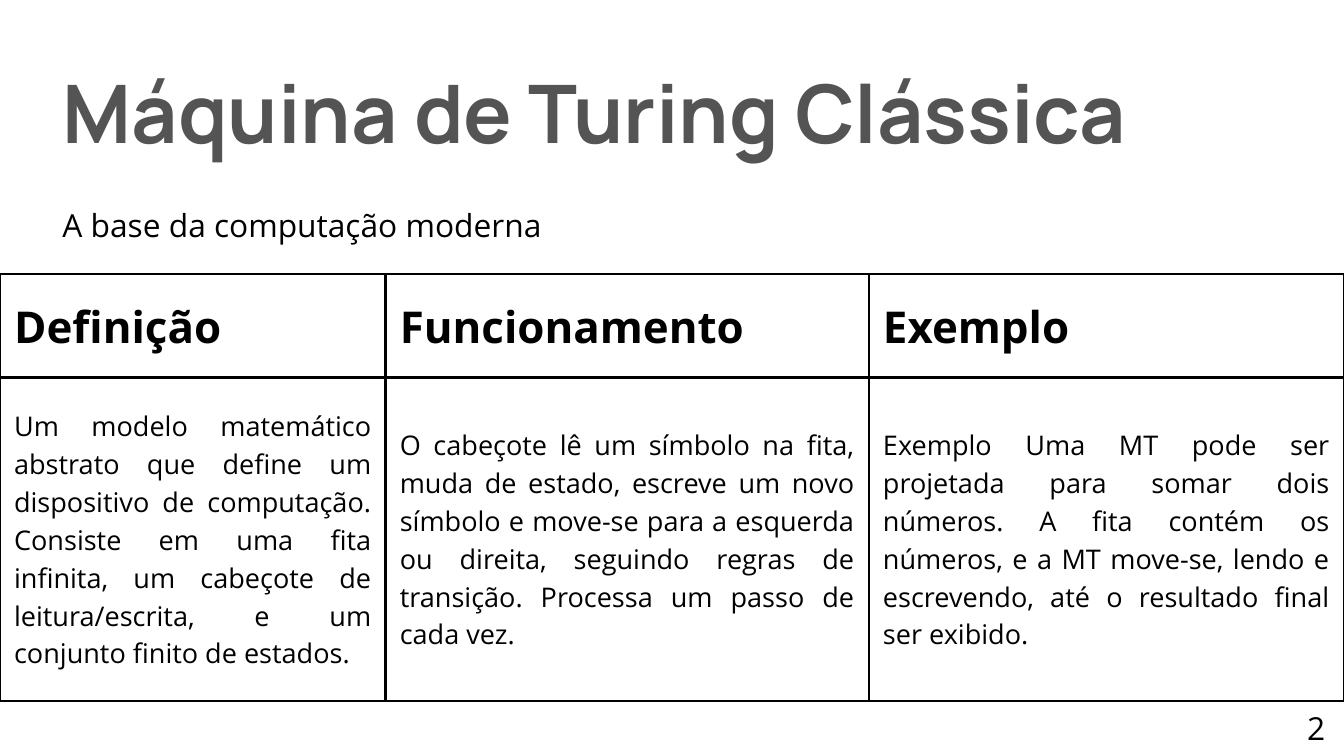
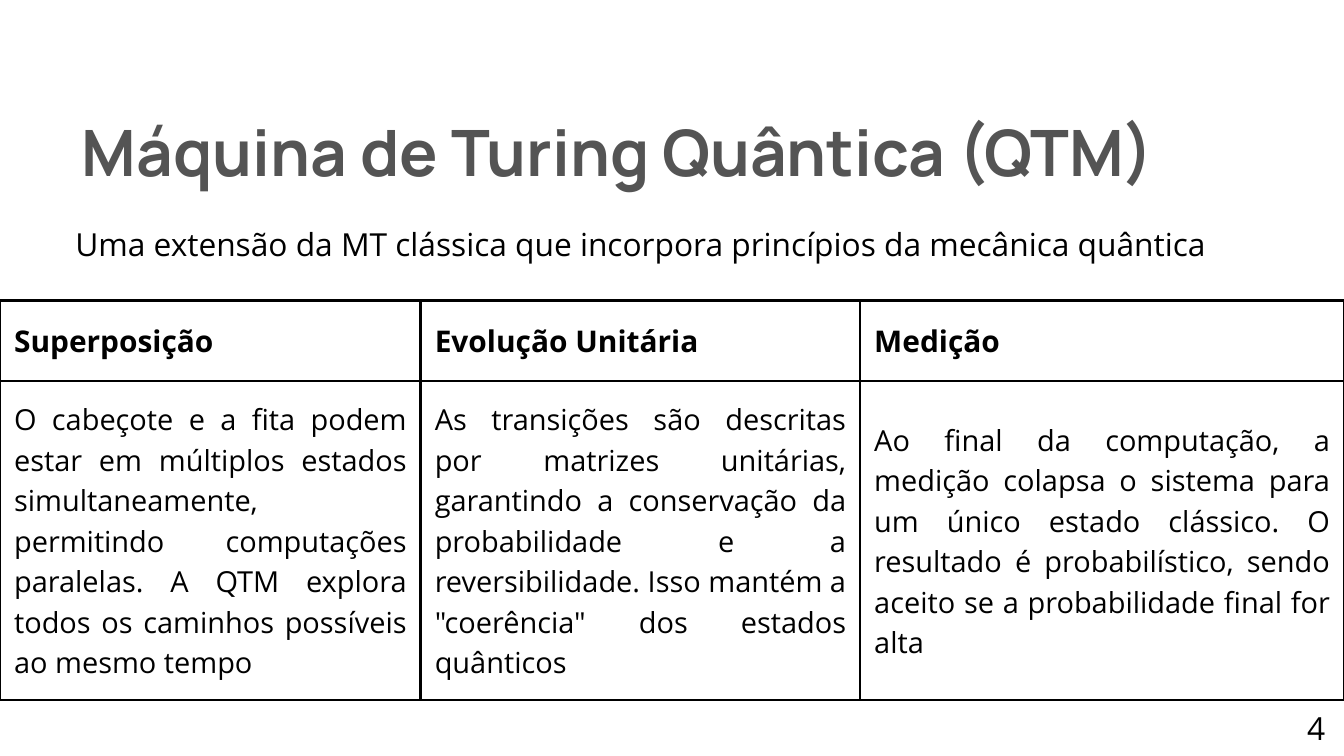
from dataclasses import dataclass

from lxml import etree
from pptx import Presentation
from pptx.dml.color import RGBColor
from pptx.enum.text import MSO_ANCHOR, MSO_AUTO_SIZE, PP_ALIGN
from pptx.oxml.ns import qn
from pptx.util import Inches, Pt

JUSTIFY = PP_ALIGN.JUSTIFY
CENTER = PP_ALIGN.CENTER
TOP = MSO_ANCHOR.TOP
MIDDLE = MSO_ANCHOR.MIDDLE
NO_AUTOFIT = MSO_AUTO_SIZE.NONE
TITLE_ONLY = 5


@dataclass(frozen=True)
class Theme:
    title_font: str = "Manrope"
    body_font: str = "Open Sans"
    gray: str = "545454"
    black: str = "000000"
    text_size: float = 34
    title_spacing: float = 0.86
    text_spacing: float = 1.4
    border_width: float = 3
    cell_margin: float = 0.21


THEME = Theme()
SLIDE_WIDTH, SLIDE_HEIGHT = 20, 11.25
NUMBER_BOX = (19.45, 10.46, 0.27, 0.63)

SLIDES = [
    {
        "number": "2",
        "title": "Máquina de Turing Clássica",
        "title_box": (0.93, 1.34, 17.94, 1.22),
        "title_size": 86.5,
        "subtitle": "A base da computação moderna",
        "subtitle_box": (0.93, 2.97, 17.76, 0.63),
        "table_top": 4.08,
        "column_widths": (5.74, 7.19, 7.07),
        "row_heights": (1.54, 4.81),
        "row_sizes": (47, 29),
        "rows": [
            ("Definição", "Funcionamento", "Exemplo"),
            (
                "Um modelo matemático abstrato que define um dispositivo de computação. "
                "Consiste em uma fita infinita, um cabeçote de leitura/escrita, e um "
                "conjunto finito de estados.",
                "O cabeçote lê um símbolo na fita, muda de estado, escreve um novo "
                "símbolo e move-se para a esquerda ou direita, seguindo regras de "
                "transição. Processa um passo de cada vez.",
                "Exemplo Uma MT pode ser projetada para somar dois números. A fita "
                "contém os números, e a MT move-se, lendo e escrevendo, até o resultado "
                "final ser exibido.",
            ),
        ],
    },
    {
        "number": "4",
        "title": "Máquina de Turing Quântica (QTM)",
        "title_box": (1.22, 2, 17.66, 0.97),
        "title_size": 68.5,
        "subtitle": "Uma extensão da MT clássica que incorpora princípios da mecânica quântica",
        "subtitle_box": (1.12, 3.25, 17.75, 0.63),
        "table_top": 4.47,
        "column_widths": (6.26, 6.54, 7.2),
        "row_heights": (1.2, 4.75),
        "row_sizes": (32, 31),
        "rows": [
            ("Superposição", "Evolução Unitária", "Medição"),
            (
                "O cabeçote e a fita podem estar em múltiplos estados simultaneamente, "
                "permitindo computações paralelas. A QTM explora todos os caminhos "
                "possíveis ao mesmo tempo",
                "As transições são descritas por matrizes unitárias, garantindo a "
                "conservação da probabilidade e a reversibilidade. Isso mantém a "
                '"coerência" dos estados quânticos',
                "Ao final da computação, a medição colapsa o sistema para um único "
                "estado clássico. O resultado é probabilístico, sendo aceito se a "
                "probabilidade final for alta",
            ),
        ],
    },
]


def write_text(text_frame, text, size, font=THEME.body_font, color=THEME.black,
               bold=False, alignment=JUSTIFY, spacing=THEME.text_spacing):
    text_frame.text = text
    paragraph = text_frame.paragraphs[0]
    paragraph.alignment = alignment
    paragraph.line_spacing = Pt(round(size * spacing, 1))
    paragraph.font.name = font
    paragraph.font.size = Pt(size)
    paragraph.font.bold = bold
    paragraph.font.color.rgb = RGBColor.from_string(color)


def prepare_frame(text_frame):
    text_frame.word_wrap = True
    text_frame.auto_size = NO_AUTOFIT
    text_frame.vertical_anchor = TOP
    text_frame.margin_left = text_frame.margin_right = 0
    text_frame.margin_top = text_frame.margin_bottom = 0


def add_title(slide, text, box, size):
    title = slide.shapes.title
    title.left, title.top, title.width, title.height = map(Inches, box)
    prepare_frame(title.text_frame)
    write_text(title.text_frame, text, size, THEME.title_font, THEME.gray,
               bold=True, spacing=THEME.title_spacing)


def add_text(slide, text, box, alignment=JUSTIFY):
    text_box = slide.shapes.add_textbox(*map(Inches, box))
    prepare_frame(text_box.text_frame)
    write_text(text_box.text_frame, text, THEME.text_size, alignment=alignment)


def set_borders(cell):
    properties = cell._tc.get_or_add_tcPr()
    for side in ("a:lnL", "a:lnR", "a:lnT", "a:lnB"):
        line = etree.SubElement(properties, qn(side), w=str(Pt(THEME.border_width)))
        fill = etree.SubElement(line, qn("a:solidFill"))
        etree.SubElement(fill, qn("a:srgbClr"), val=THEME.black)


def add_comparison_table(slide, content):
    rows, widths, heights = (content[key] for key in ("rows", "column_widths", "row_heights"))
    frame = slide.shapes.add_table(len(rows), len(widths), 0, Inches(content["table_top"]),
                                   Inches(sum(widths)), Inches(sum(heights)))
    table = frame.table
    table.first_row = table.horz_banding = False
    for column, width in zip(table.columns, widths):
        column.width = Inches(width)
    margin = Inches(THEME.cell_margin)
    for index, (row, height, size) in enumerate(zip(table.rows, heights, content["row_sizes"])):
        row.height = Inches(height)
        for cell, text in zip(row.cells, rows[index]):
            cell.margin_left = cell.margin_right = margin
            cell.margin_top = cell.margin_bottom = margin
            cell.vertical_anchor = MIDDLE
            set_borders(cell)
            cell.fill.background()
            write_text(cell.text_frame, text, size, bold=index == 0)


def main():
    presentation = Presentation()
    presentation.slide_width = Inches(SLIDE_WIDTH)
    presentation.slide_height = Inches(SLIDE_HEIGHT)
    for content in SLIDES:
        slide = presentation.slides.add_slide(presentation.slide_layouts[TITLE_ONLY])
        add_comparison_table(slide, content)
        add_title(slide, content["title"], content["title_box"], content["title_size"])
        add_text(slide, content["number"], NUMBER_BOX, CENTER)
        add_text(slide, content["subtitle"], content["subtitle_box"])
    presentation.save("out.pptx")


if __name__ == "__main__":
    main()
